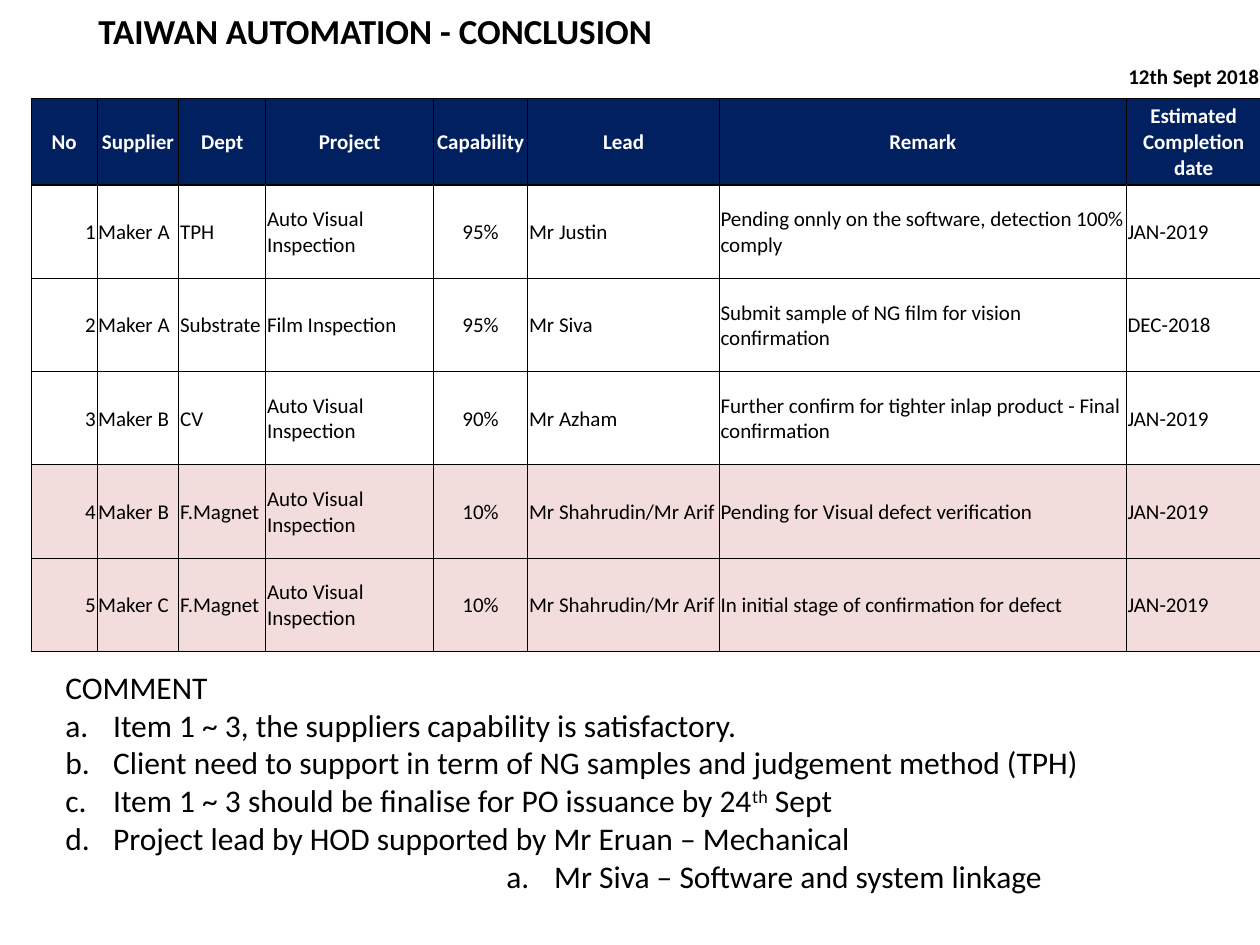
import pptx
import pptx.dml.color
import pptx.enum.text
import pptx.oxml.ns
import pptx.util
from lxml import etree

Inches = pptx.util.Inches
Align = pptx.enum.text.PP_ALIGN

COLUMN_WIDTHS = [0.52, 0.65, 0.69, 1.33, 0.75, 1.52, 3.23, 1.07]
ROW_HEIGHTS = [0.34, 0.35, 0.69] + [0.74] * 5
HEADINGS = ["No", "Supplier", "Dept", "Project", "Capability", "Lead", "Remark",
            "Estimated Completion date"]
PROJECTS = [
    ["1", "Maker A", "TPH", "Auto Visual Inspection", "95%", "Mr Justin",
     "Pending onnly on the software, detection 100% comply", "JAN-2019"],
    ["2", "Maker A", "Substrate", "Film Inspection", "95%", "Mr Siva",
     "Submit sample of NG film for vision confirmation", "DEC-2018"],
    ["3", "Maker B", "CV", "Auto Visual Inspection", "90%", "Mr Azham",
     "Further confirm for tighter inlap product - Final confirmation", "JAN-2019"],
    ["4", "Maker B", "F.Magnet", "Auto Visual Inspection", "10%", "Mr Shahrudin/Mr Arif",
     "Pending for Visual defect verification", "JAN-2019"],
    ["5", "Maker C", "F.Magnet", "Auto Visual Inspection", "10%", "Mr Shahrudin/Mr Arif",
     "In initial stage of confirmation for defect", "JAN-2019"],
]
BODY_ALIGNMENTS = [Align.RIGHT] + [Align.LEFT] * 3 + [Align.CENTER] + [Align.LEFT] * 3
HEADER_ROW = 2
LAST_ROW = len(ROW_HEIGHTS) - 1
LAST_COLUMN = len(COLUMN_WIDTHS) - 1
NO_STYLE = "{2D5ABB26-0587-4C30-8999-92F81FD0307C}"
COMMENTS = [
    ["Item 1 ~ 3, the suppliers capability is satisfactory."],
    ["Client need to support in term of NG samples and judgement method (TPH)"],
    ["Item 1 ~ 3 should be finalise for PO issuance by 24", "th", " Sept"],
    ["Project lead by HOD supported by Mr Eruan – Mechanical"],
]


def color(value):
    return pptx.dml.color.RGBColor.from_string(value)


def add_element(parent, tag, **attributes):
    return etree.SubElement(parent, pptx.oxml.ns.qn(tag), attributes)


def style_font(para, size, bold=False, shade="000000"):
    para.font.name = "Calibri"
    para.font.size = pptx.util.Pt(size)
    para.font.bold = bold
    para.font.color.rgb = color(shade)


def fill_cell(cell, text="", align=Align.CENTER, size=12, bold=False, shade="000000",
              fill=None):
    cell.margin_left = cell.margin_right = cell.margin_top = Inches(0.01)
    cell.margin_bottom = 0
    cell.vertical_anchor = pptx.enum.text.MSO_ANCHOR.MIDDLE
    if fill:
        cell.fill.solid()
        cell.fill.fore_color.rgb = color(fill)
    else:
        cell.fill.background()
    para = cell.text_frame.paragraphs[0]
    para.alignment = align
    if text:
        para.add_run().text = text
    style_font(para, size, bold, shade)


def set_borders(cell, **widths):
    properties = cell._tc.get_or_add_tcPr()
    for position, (side, width) in enumerate(widths.items()):
        line = add_element(properties, f"a:ln{side}", w=str(pptx.util.Pt(width)))
        paint = add_element(line, "a:solidFill")
        add_element(paint, "a:srgbClr", val="000000")
        properties.insert(position, line)


def border_grid(table):
    for column in range(LAST_COLUMN + 1):
        set_borders(table.cell(HEADER_ROW - 1, column), B=1)
        for row in range(HEADER_ROW, LAST_ROW + 1):
            set_borders(
                table.cell(row, column),
                L=1 if column == 0 else 0.5,
                R=1 if column == LAST_COLUMN else 0.5,
                T=1 if row <= HEADER_ROW + 1 else 0.5,
                B=1 if row in (HEADER_ROW, LAST_ROW) else 0.5,
            )


def add_project_table(page):
    frame = page.shapes.add_table(
        len(ROW_HEIGHTS), len(COLUMN_WIDTHS), Inches(0.25), Inches(0.08),
        Inches(sum(COLUMN_WIDTHS)), Inches(sum(ROW_HEIGHTS)))
    table = frame.table
    table.first_row = table.horz_banding = False
    table._tbl.tblPr.find(pptx.oxml.ns.qn("a:tableStyleId")).text = NO_STYLE
    for column, width in zip(table.columns, COLUMN_WIDTHS):
        column.width = Inches(width)
    for row, height in zip(table.rows, ROW_HEIGHTS):
        row.height = Inches(height)

    table.cell(0, 0).merge(table.cell(0, 5))
    fill_cell(table.cell(0, 0), "TAIWAN AUTOMATION - CONCLUSION", size=20, bold=True)
    for column in (6, 7):
        fill_cell(table.cell(0, column))
    for column in range(LAST_COLUMN):
        fill_cell(table.cell(1, column))
    fill_cell(table.cell(1, LAST_COLUMN), "12th Sept 2018", bold=True)
    for column, heading in enumerate(HEADINGS):
        fill_cell(table.cell(HEADER_ROW, column), heading, bold=True, shade="FFFFFF",
                  fill="002060")
    for row, project in enumerate(PROJECTS, HEADER_ROW + 1):
        fill = "F2DDDC" if project[4] == "10%" else None
        for column, (text, align) in enumerate(zip(project, BODY_ALIGNMENTS)):
            fill_cell(table.cell(row, column), text, align, fill=fill)
    border_grid(table)


def add_lettered_item(frame, texts, indent=0.38, level=0):
    para = frame.add_paragraph()
    para.level = level
    properties = para._p.get_or_add_pPr()
    properties.set("marL", str(Inches(indent)))
    properties.set("indent", str(Inches(-0.38)))
    add_element(properties, "a:buFont", typeface="+mj-lt")
    add_element(properties, "a:buAutoNum", type="alphaLcPeriod")
    style_font(para, 18)
    for text in texts:
        span = para.add_run()
        span.text = text
        if text == "th":
            span._r.get_or_add_rPr().set("baseline", "30000")


def add_comments(page):
    box = page.shapes.add_textbox(Inches(0.42), Inches(5.25), Inches(8.6), Inches(1.92))
    frame = box.text_frame
    frame.word_wrap = False
    frame.auto_size = pptx.enum.text.MSO_AUTO_SIZE.SHAPE_TO_FIT_TEXT
    title = frame.paragraphs[0]
    title.add_run().text = "COMMENT"
    style_font(title, 18)
    for texts in COMMENTS:
        add_lettered_item(frame, texts)
    add_lettered_item(frame, ["Mr Siva – Software and system linkage"], 3.88, 7)


def main():
    deck = pptx.Presentation()
    deck.slide_width = Inches(10)
    deck.slide_height = Inches(7.5)
    page = deck.slides.add_slide(deck.slide_layouts[6])
    add_project_table(page)
    add_comments(page)
    deck.save("out.pptx")


if __name__ == "__main__":
    main()
